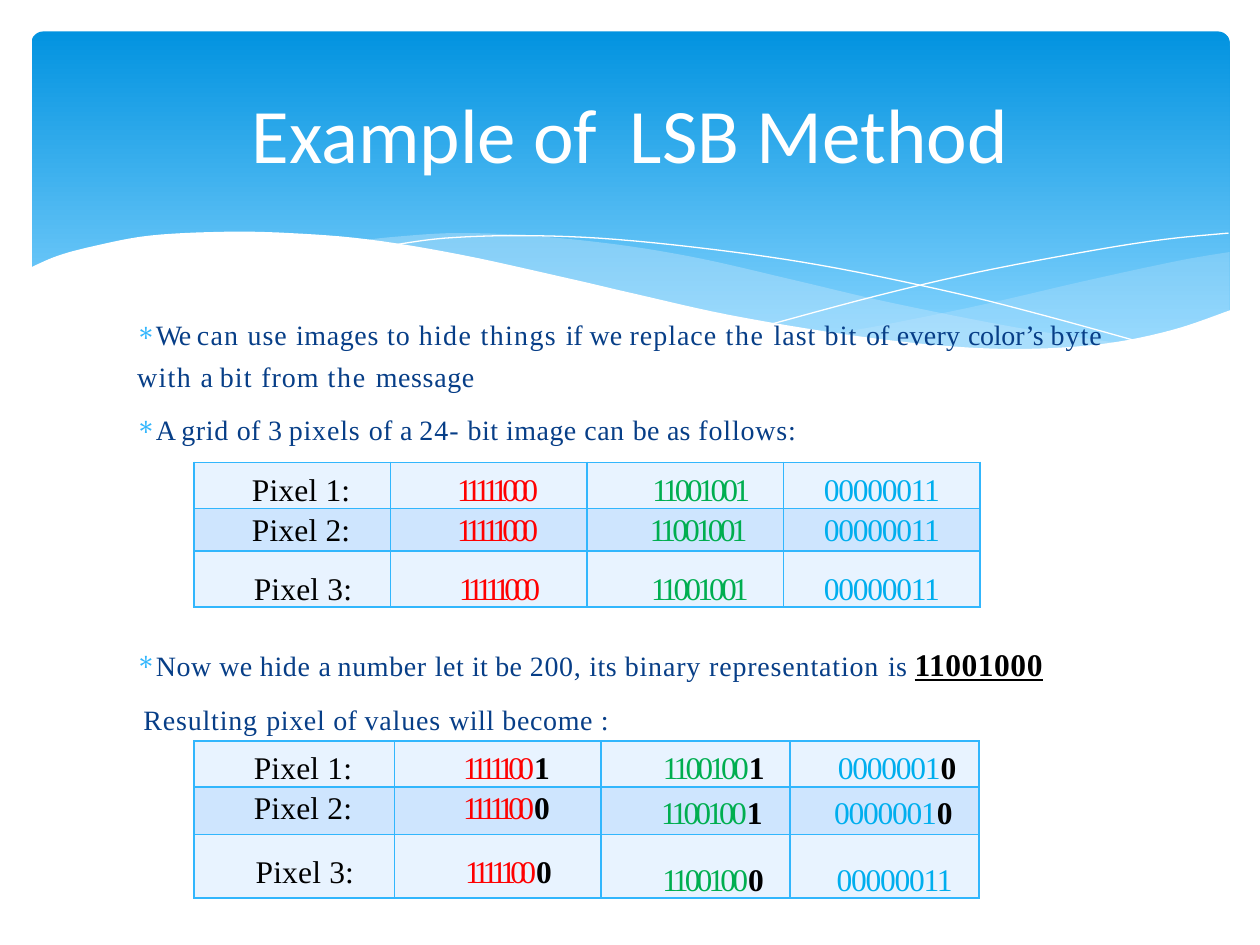
from lxml import etree
from pptx import Presentation
from pptx.dml.color import RGBColor
from pptx.enum.shapes import MSO_SHAPE
from pptx.enum.text import MSO_ANCHOR, PP_ALIGN
from pptx.oxml.ns import qn
from pptx.util import Inches, Pt

ROUNDED = MSO_SHAPE.ROUNDED_RECTANGLE
MIDDLE = MSO_ANCHOR.MIDDLE
LEFT, CENTER = PP_ALIGN.LEFT, PP_ALIGN.CENTER
WHITE, BLACK, NAVY, SKY = "FFFFFF", "000000", "073E87", "31B6FD"
RED, GREEN, BLUE = "FF0000", "00AE50", "00AEEE"
ROW_FILLS = ("E8F3FF", "CEE5FE", "E8F3FF")
SERIF = "Times New Roman"

# Edges of the waves, as points that a smooth curve passes through
RIGHT_TOP = [(9.76, 2), (9.35, 2.07), (8.61, 2.23), (7.79, 2.42), (7.06, 2.57), (6.61, 2.65)]
RIGHT_BOTTOM = [(6.61, 2.65), (7.05, 2.71), (7.57, 2.76), (8.03, 2.78), (8.54, 2.76),
                (8.97, 2.7), (9.35, 2.62), (9.76, 2.47)]
MIDDLE_TOP = [(8.93, 2.73), (8.07, 2.6), (7.06, 2.4), (6.29, 2.22), (5.55, 2.05),
              (4.89, 1.94), (4.2, 1.87), (3.61, 1.85), (3.13, 1.88), (2.86, 1.91)]
MIDDLE_BOTTOM = [(2.86, 1.91), (3.62, 2.03), (4.49, 2.22), (5.3, 2.4), (6.01, 2.55),
                 (6.8, 2.68), (7.48, 2.76), (8.07, 2.78), (8.57, 2.77), (8.93, 2.73)]
FALLING_LINE = [(3.09, 1.95), (3.53, 1.89), (4.16, 1.87), (4.89, 1.9), (5.82, 2),
                (6.65, 2.13), (7.6, 2.33), (8.31, 2.51), (9.07, 2.72)]
RISING_LINE = [(6.13, 2.57), (6.95, 2.35), (7.76, 2.16), (8.66, 1.99), (9.24, 1.9), (9.75, 1.85)]
FRONT_TOP = [(9.77, 2.46), (9.3, 2.62), (8.75, 2.73), (8.09, 2.77), (7.44, 2.74),
             (6.68, 2.65), (5.79, 2.5), (5.03, 2.33), (4.47, 2.2), (3.65, 2.02),
             (2.92, 1.9), (2.3, 1.85), (1.77, 1.84), (1.19, 1.87), (0.76, 1.95),
             (0.46, 2.03), (0.23, 2.13)]


def color(hex_string):
    return RGBColor.from_string(hex_string)


def add_child(parent, tag, **attributes):
    return etree.SubElement(parent, qn(tag), attributes)


def smooth(points, steps=6):
    """Catmull-Rom curve through the points."""
    padded = [points[0], *points, points[-1]]
    curve = [points[0]]
    for a, b, c, d in zip(padded, padded[1:], padded[2:], padded[3:]):
        for step in range(1, steps + 1):
            t = step / steps
            curve.append(tuple(
                0.5 * (2 * q + (r - p) * t + (2 * p - 5 * q + 4 * r - s) * t ** 2
                       + (3 * q - p - 3 * r + s) * t ** 3)
                for p, q, r, s in zip(a, b, c, d)))
    return curve


def add_wave(slide, points, fill=None, opacity=100):
    """A filled wave, or a thin white line when no fill is given."""
    emu_points = [(Inches(x), Inches(y)) for x, y in points]
    builder = slide.shapes.build_freeform(*emu_points[0])
    builder.add_line_segments(emu_points[1:], close=fill is not None)
    shape = builder.convert_to_shape()
    shape.shadow.inherit = False
    if fill is None:
        shape.fill.background()
        shape.line.color.rgb = color(WHITE)
        shape.line.width = Pt(0)
        return
    shape.fill.solid()
    shape.fill.fore_color.rgb = color(fill)
    shape.line.fill.background()
    if opacity < 100:
        tint = shape.fill._xPr.find(qn("a:solidFill"))[0]
        add_child(tint, "a:alpha", val=str(opacity * 1000))


def add_banner(slide, left, top, width, height):
    shape = slide.shapes.add_shape(ROUNDED, Inches(left), Inches(top), Inches(width), Inches(height))
    shape.adjustments[0] = 0.034
    shape.shadow.inherit = False
    shape.line.fill.background()
    shape.fill.gradient()
    shape.fill.gradient_angle = 270
    stops = shape.fill.gradient_stops
    for stop, position, shade in zip(stops, (0, 0.9), ("0293E0", "83D3FE")):
        stop.position = position
        stop.color.rgb = color(shade)
    # Waves, from back to front
    add_wave(slide, smooth(RIGHT_TOP) + smooth(RIGHT_BOTTOM), "C6E7FC", 29)
    add_wave(slide, smooth(MIDDLE_TOP) + smooth(MIDDLE_BOTTOM), "C6E7FC", 40)
    add_wave(slide, smooth(FALLING_LINE))
    add_wave(slide, smooth(RISING_LINE))
    add_wave(slide, smooth(FRONT_TOP) + [(0.23, 3.29), (9.77, 3.29)], WHITE)


def add_run(paragraph, text, spacing=0, shade=NAVY, **font_format):
    run = paragraph.add_run()
    run.text = text
    run.font.color.rgb = color(shade)
    for name, value in {"name": SERIF, "size": Pt(16), **font_format}.items():
        setattr(run.font, name, value)
    if spacing:
        run.font._element.set("spc", str(round(spacing * 100)))


def format_paragraph(paragraph, margin=0, indent=0, **values):
    for name, value in values.items():
        setattr(paragraph, name, value)
    properties = paragraph._p.get_or_add_pPr()
    properties.set("marL", str(Inches(margin)))
    properties.set("indent", str(Inches(indent)))
    return properties


def add_text_box(slide, left, top, width, height):
    shape = slide.shapes.add_textbox(Inches(left), Inches(top), Inches(width), Inches(height))
    shape.text_frame.word_wrap = True
    return shape.text_frame


def add_title(slide, *box):
    frame = add_text_box(slide, *box)
    frame.vertical_anchor = MIDDLE
    paragraph = frame.paragraphs[0]
    paragraph.alignment = CENTER
    add_run(paragraph, "Example of\tLSB Method", 0, WHITE, name="Calibri", size=Pt(44))


def add_body(slide, *box):
    frame = add_text_box(slide, *box)
    # Space before, line spacing, bullet, then words with their letter spacing
    paragraphs = [
        (3.9, Pt(23.8), True, [
            ("We ", -0.7), ("can ", 0.7), ("use ", 0.6), ("images ", 0.4), ("to ", 0.6),
            ("hide things ", 0.8), ("if ", -0.1), ("we ", 0.1), ("replace ", 0.6),
            ("the ", 1), ("last ", 0.6), ("bit ", 0.7), ("of ", 0.1), ("every ", 0.2),
            ("color’s ", -0.1), ("byte ", 0.6), ("with ", 0.8), ("a ", -0.1),
            ("bit ", 0.7), ("from ", 0.6), ("the ", 1), ("message", 0.4)]),
        (11, 1.0, True, [
            ("A ", -0.1), ("grid ", 0.4), ("of ", 0.2), ("3 ", -0.1), ("pixels ", 0.5),
            ("of ", 0.2), ("a ", -0.1), ("24- ", 0.6), ("bit image can ", 0.3),
            ("be as ", 0.2), ("follows:", 0.5)]),
        (113.6, 1.0, True, [
            ("Now ", 0.3), ("we ", 0.2), ("hide ", 0.4), ("a ", -0.1), ("number ", 0.4),
            ("let ", 0.3), ("it be ", 0.2), ("200, ", 0.4), ("its ", 0.3),
            ("binary representation ", 0.5), ("is ", 0.2), ("11001000", 0.3)]),
        (11.4, 1.0, False, [
            ("Resulting ", 0.5), ("pixel ", 0.4), ("of ", 0.2), ("values ", 0.5),
            ("will ", 0.3), ("become :", 0.4)]),
    ]
    number_format = {"shade": BLACK, "size": Pt(18), "bold": True, "underline": True}
    for index, (before, line_spacing, bullet, words) in enumerate(paragraphs):
        paragraph = frame.add_paragraph() if index else frame.paragraphs[0]
        margin, indent = (0.01, -0.3) if bullet else (0.06, 0)
        properties = format_paragraph(paragraph, margin, indent,
                                      space_before=Pt(before), line_spacing=line_spacing)
        if bullet:
            add_child(add_child(properties, "a:buClr"), "a:srgbClr", val=SKY)
            add_child(properties, "a:buChar", char="∗")
        for text, spacing in words:
            add_run(paragraph, text, spacing, **(number_format if text.isdigit() else {}))


def add_borders(cell):
    properties = cell._tc.get_or_add_tcPr()
    for side in ("a:lnL", "a:lnR", "a:lnT", "a:lnB"):
        line = add_child(properties, side, w=str(Pt(1)))
        add_child(add_child(line, "a:solidFill"), "a:srgbClr", val=SKY)


def add_pixel_table(slide, left, top, widths, heights, values, indents, right_offsets, last_alignment):
    """Values are (plain bits, bold bit); right_offsets lower the last two columns."""
    shape = slide.shapes.add_table(3, 4, Inches(left), Inches(top),
                                   Inches(sum(widths)), Inches(sum(heights)))
    table = shape.table
    table.first_row = table.horz_banding = False
    for column, width in zip(table.columns, widths):
        column.width = Inches(width)
    offsets = ((0, 0), (0.04, 2.8), (0.05, 3.2))
    line_spacings = (Pt(26.2), 1.0, Pt(28.2))
    styles = ((BLACK, 0.1), (RED, -3.3), (GREEN, -2.2), (BLUE, -0.7))
    for row, height in enumerate(heights):
        table.rows[row].height = Inches(height)
        row_values = [(f"Pixel {row + 1}:", ""), *values[row]]
        for column, ((plain, bold), (shade, spacing)) in enumerate(zip(row_values, styles)):
            cell = table.cell(row, column)
            add_borders(cell)
            cell.fill.solid()
            cell.fill.fore_color.rgb = color(ROW_FILLS[row])
            margin_top, before = (right_offsets or offsets)[row] if column > 1 else offsets[row]
            cell.margin_left = cell.margin_right = cell.margin_bottom = 0
            cell.margin_top = Inches(margin_top)
            paragraph = cell.text_frame.paragraphs[0]
            format_paragraph(paragraph, indents[row][column], space_before=Pt(before),
                             line_spacing=line_spacings[row],
                             alignment=last_alignment if column == 3 else CENTER)
            add_run(paragraph, plain, spacing, shade, size=Pt(18))
            if bold:
                add_run(paragraph, bold, spacing, BLACK, size=Pt(18), bold=True)


def main():
    presentation = Presentation()
    presentation.slide_width, presentation.slide_height = Inches(10), Inches(7.5)
    slide = presentation.slides.add_slide(presentation.slide_layouts[6])
    add_banner(slide, 0.25, 0.25, 9.51, 2.7)
    add_body(slide, 0.98, 2.41, 8.1, 4.8)
    add_title(slide, 0.5, 0.37, 9, 1.37)
    # Pixels before and after hiding the number
    before = [[("11111000", ""), ("11001001", ""), ("00000011", "")]] * 3
    after = [[("1111100", "1"), ("1100100", "1"), ("0000001", "0")],
             [("1111100", "0"), ("1100100", "1"), ("0000001", "0")],
             [("1111100", "0"), ("1100100", "0"), ("00000011", "")]]
    add_pixel_table(slide, 1.54, 3.67, [1.56] * 4, (0.36, 0.32, 0.44), before,
                    [(0.14, 0.14, 0.25, 0), (0.14, 0.14, 0.21, 0), (0.17, 0.17, 0.23, 0)],
                    None, CENTER)
    add_pixel_table(slide, 1.54, 5.88, (1.59, 1.64, 1.5, 1.5), (0.36, 0.37, 0.5), after,
                    [(0.14, 0.14, 0.29, 0.38), (0.14, 0.14, 0.26, 0.35), (0.17, 0.17, 0.28, 0.37)],
                    ((0, 0), (0.08, 6), (0.11, 7.6)), LEFT)
    presentation.save("out.pptx")


if __name__ == "__main__":
    main()
